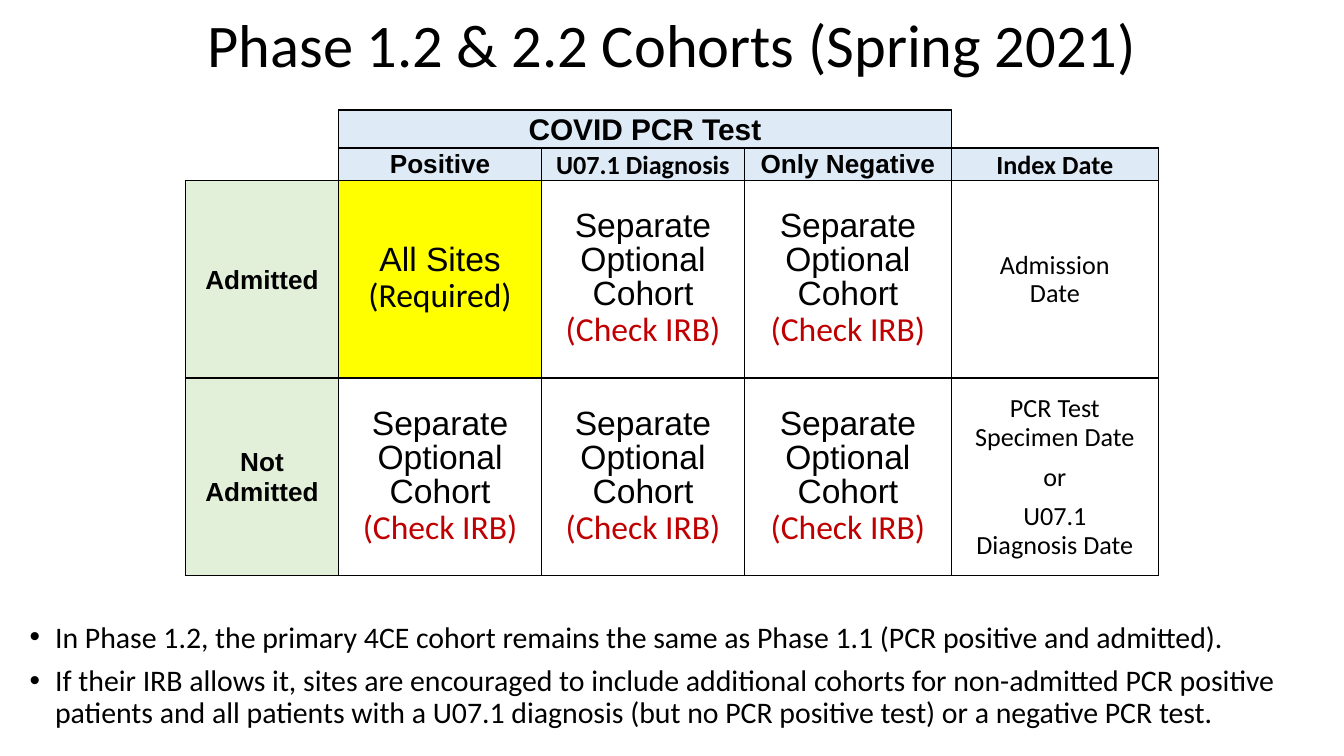
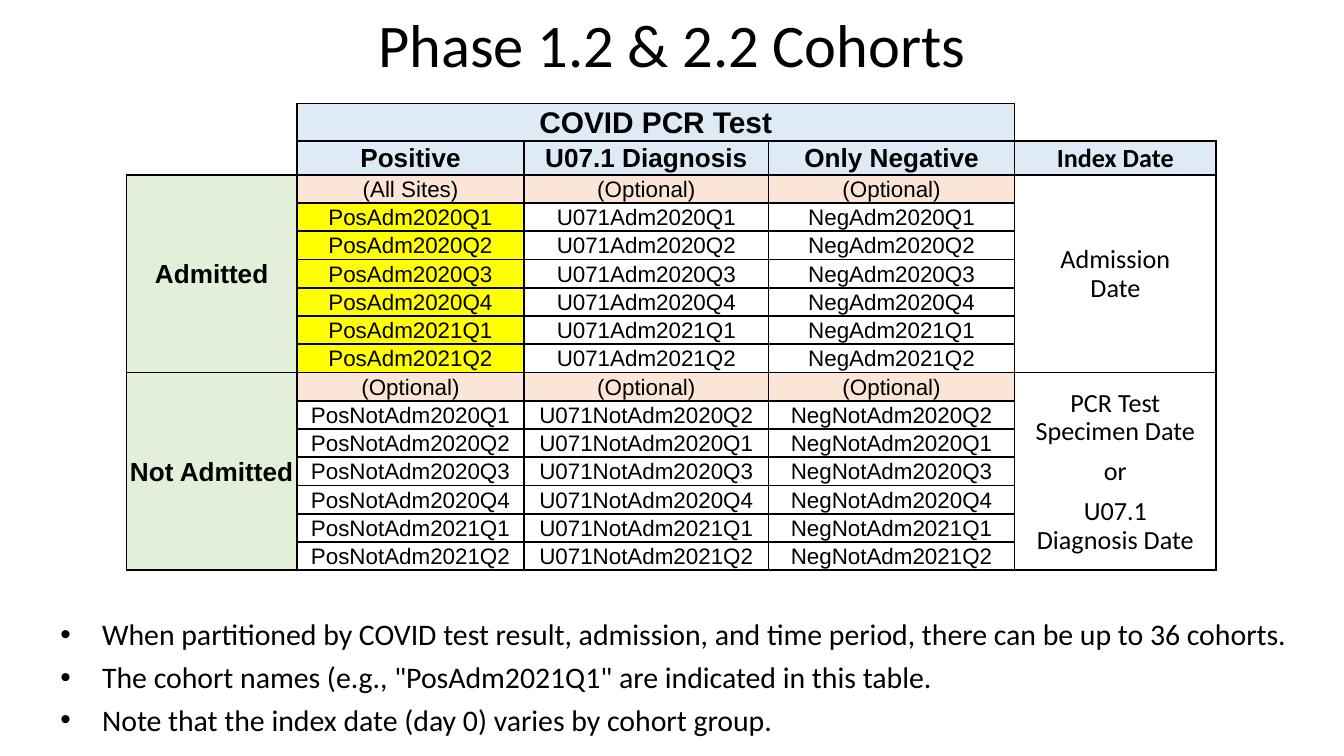
from dataclasses import dataclass, field

from lxml import etree
from pptx import Presentation
from pptx.dml.color import RGBColor
from pptx.enum.text import MSO_ANCHOR, MSO_AUTO_SIZE, PP_ALIGN
from pptx.oxml.ns import qn
from pptx.util import Inches, Pt

CENTER = PP_ALIGN.CENTER
LEFT = PP_ALIGN.LEFT
MIDDLE = MSO_ANCHOR.MIDDLE
TOP = MSO_ANCHOR.TOP
NO_FIT = MSO_AUTO_SIZE.NONE
GROW = MSO_AUTO_SIZE.SHAPE_TO_FIT_TEXT


@dataclass(frozen=True)
class Theme:
    ink: str = "000000"
    white: str = "FFFFFF"
    header: str = "DEEBF7"
    side: str = "E2F0D9"
    required: str = "FFFF00"
    group: str = "FBE5D6"
    warning: str = "C00000"
    sans: str = "Calibri"
    grid: str = "Arial"
    title_size: float = 32.4
    body_size: float = 16
    banner_size: float = 16
    heading_size: float = 14
    status_size: float = 18
    cohort_size: float = 12
    empty_size: float = 8
    border: float = 1


THEME = Theme()


@dataclass
class Line:
    text: str
    size: float
    font: str = THEME.grid
    bold: bool = False
    color: str = THEME.ink
    layout: dict = field(default_factory=dict)


def assign(target, values):
    for name, value in values.items():
        setattr(target, name, value)


def write_line(paragraph, line):
    assign(paragraph, {"alignment": CENTER, **line.layout})
    run = paragraph.add_run()
    run.text = line.text
    assign(run.font, {"size": Pt(line.size), "name": line.font, "bold": line.bold})
    run.font.color.rgb = RGBColor.from_string(line.color)


def write_lines(text_frame, lines):
    for index, line in enumerate(lines):
        paragraph = text_frame.add_paragraph() if index else text_frame.paragraphs[0]
        write_line(paragraph, line)


def place(shape, left, top, width, height):
    assign(shape, {
        "left": Inches(left), "top": Inches(top),
        "width": Inches(width), "height": Inches(height),
    })


def add_title(slide, text):
    title = slide.shapes.title
    place(title, 0.34, 0.04, 9.32, 0.66)
    assign(title.text_frame, {
        "auto_size": NO_FIT, "vertical_anchor": MIDDLE, "word_wrap": True,
        "margin_top": Inches(0.1), "margin_bottom": Inches(0.1),
    })
    write_lines(title.text_frame, [
        Line(text, THEME.title_size, THEME.sans, layout={"line_spacing": 0.8})
    ])


def add_bullet(paragraph, indent):
    properties = paragraph._p.get_or_add_pPr()
    properties.set("marL", str(Inches(indent)))
    properties.set("indent", str(-Inches(indent)))
    etree.SubElement(properties, qn("a:buFont"), typeface=THEME.grid)
    etree.SubElement(properties, qn("a:buChar"), char="•")


def add_bullets(slide, box, texts, indent, line_spacing, gap):
    body = slide.placeholders[1]
    place(body, *box)
    assign(body.text_frame, {"auto_size": GROW, "vertical_anchor": TOP, "word_wrap": True})
    write_lines(body.text_frame, [
        Line(text, THEME.body_size, THEME.sans, layout={
            "alignment": LEFT, "line_spacing": line_spacing,
            "space_before": Pt(gap if index else 0),
        })
        for index, text in enumerate(texts)
    ])
    for paragraph in body.text_frame.paragraphs:
        add_bullet(paragraph, indent)


def set_borders(cell, white_sides):
    properties = cell._tc.get_or_add_tcPr()
    for index, side in enumerate("LRTB"):
        line = etree.Element(qn(f"a:ln{side}"), w=str(Pt(THEME.border)))
        fill = etree.SubElement(line, qn("a:solidFill"))
        color = THEME.white if side in white_sides else THEME.ink
        etree.SubElement(fill, qn("a:srgbClr"), val=color)
        properties.insert(index, line)


def format_cell(cell, white_sides):
    assign(cell, {
        "vertical_anchor": MIDDLE, "margin_left": Inches(0.01),
        "margin_right": Inches(0.01), "margin_top": Inches(0.01), "margin_bottom": 0,
    })
    cell.fill.solid()
    cell.fill.fore_color.rgb = RGBColor.from_string(THEME.white)
    set_borders(cell, white_sides)
    etree.SubElement(cell.text_frame.paragraphs[0]._p, qn("a:endParaRPr"),
                     sz=str(int(THEME.empty_size * 100)))


def fill_cell(cell, lines, fill=THEME.white):
    cell.fill.fore_color.rgb = RGBColor.from_string(fill)
    write_lines(cell.text_frame, lines)


def add_grid(slide, left, top, widths, heights):
    frame = slide.shapes.add_table(
        len(heights), len(widths), Inches(left), Inches(top),
        Inches(sum(widths)), Inches(sum(heights)),
    )
    table = frame.table
    assign(table, {"first_row": False, "horz_banding": False})
    for column, width in zip(table.columns, widths):
        column.width = Inches(width)
    for row, height in zip(table.rows, heights):
        row.height = Inches(height)
    blank_corners = {(0, 0): "LTB", (1, 0): "LT", (0, 4): "TR"}
    for row in range(len(heights)):
        for column in range(len(widths)):
            format_cell(table.cell(row, column), blank_corners.get((row, column), ""))
    return table


def add_headings(table, diagnosis_font):
    table.cell(0, 1).merge(table.cell(0, 3))
    fill_cell(table.cell(0, 1), [Line("COVID PCR Test", THEME.banner_size, bold=True)],
              THEME.header)
    headings = [
        ("Positive", THEME.grid), ("U07.1 Diagnosis", diagnosis_font),
        ("Only Negative", THEME.grid), ("Index Date", THEME.sans),
    ]
    for column, (text, font) in enumerate(headings, start=1):
        fill_cell(table.cell(1, column), [Line(text, THEME.heading_size, font, True)],
                  THEME.header)


def add_group(table, first_row, row_count, name, date_texts):
    for column in (0, 4):
        if row_count > 1:
            table.cell(first_row, column).merge(
                table.cell(first_row + row_count - 1, column))
    fill_cell(table.cell(first_row, 0), [Line(name, THEME.heading_size, bold=True)],
              THEME.side)
    separator = {"space_before": Pt(6), "space_after": Pt(6)}
    fill_cell(table.cell(first_row, 4), [
        Line(text, THEME.heading_size, THEME.sans,
             layout={"line_spacing": 0.9, **(separator if text == "or" else {})})
        for text in date_texts
    ])


def add_groups(table, row_count):
    groups = {
        "Admitted": ["Admission", "Date"],
        "Not Admitted": ["PCR Test", "Specimen Date", "or", "U07.1", "Diagnosis Date"],
    }
    for index, (name, date_texts) in enumerate(groups.items()):
        add_group(table, 2 + index * row_count, row_count, name, date_texts)


def status_lines(texts, note, note_color):
    tight = {"line_spacing": 0.9}
    lines = [Line(text, THEME.status_size, layout=tight) for text in texts]
    return lines + [Line(note, THEME.status_size, THEME.sans, color=note_color, layout=tight)]


def add_statuses(table):
    for row in (2, 3):
        for column in (1, 2, 3):
            cell = table.cell(row, column)
            if (row, column) == (2, 1):
                fill_cell(cell, status_lines(["All Sites"], "(Required)", THEME.ink),
                          THEME.required)
            else:
                fill_cell(cell, status_lines(["Separate", "Optional", "Cohort"],
                                             "(Check IRB)", THEME.warning))


def add_cohort_names(table):
    quarters = ["2020Q1", "2020Q2", "2020Q3", "2020Q4", "2021Q1", "2021Q2"]
    swapped = ["2020Q2", "2020Q1", *quarters[2:]]
    for first_row, admission in ((2, "Adm"), (9, "NotAdm")):
        for column, result in enumerate(("Pos", "U071", "Neg"), start=1):
            required = (admission, result) == ("Adm", "Pos")
            label = "(All Sites)" if required else "(Optional)"
            fill_cell(table.cell(first_row, column), [Line(label, THEME.cohort_size)],
                      THEME.group)
            periods = swapped if admission == "NotAdm" and result != "Pos" else quarters
            for row, period in enumerate(periods, start=first_row + 1):
                fill_cell(table.cell(row, column),
                          [Line(f"{result}{admission}{period}", THEME.cohort_size)],
                          THEME.required if required else THEME.white)


def build_overview(slide):
    add_title(slide, "Phase 1.2 & 2.2 Cohorts (Spring 2021)")
    table = add_grid(slide, 1.38, 0.82, [1.14, 1.51, 1.51, 1.54, 1.54],
                     [0.28, 0.24, 1.47, 1.47])
    add_headings(table, THEME.sans)
    add_groups(table, 1)
    add_statuses(table)
    add_bullets(slide, (0.12, 4.58, 9.78, 0.91), [
        "In Phase 1.2, the primary 4CE cohort remains the same as Phase 1.1 "
        "(PCR positive and admitted).",
        "If their IRB allows it, sites are encouraged to include additional cohorts for "
        "non-admitted PCR positive patients and all patients with a U07.1 diagnosis "
        "(but no PCR positive test) or a negative PCR test.",
    ], indent=0.19, line_spacing=0.9, gap=6)


def build_cohort_names(slide):
    add_title(slide, "Phase 1.2 & 2.2 Cohorts")
    table = add_grid(slide, 0.94, 0.77, [1.27, 1.69, 1.82, 1.83, 1.5],
                     [0.28, 0.25] + [0.21] * 14)
    add_headings(table, THEME.grid)
    add_groups(table, 7)
    add_cohort_names(table)
    add_bullets(slide, (0.35, 4.48, 9.5, 1.07), [
        "When partitioned by COVID test result, admission, and time period, "
        "there can be up to 36 cohorts.",
        'The cohort names (e.g., "PosAdm2021Q1" are indicated in this table.',
        "Note that the index date (day 0) varies by cohort group.",
    ], indent=0.31, line_spacing=1.2, gap=0)


def main():
    presentation = Presentation()
    presentation.slide_width = Inches(10)
    presentation.slide_height = Inches(10 * 9 / 16)
    layout = presentation.slide_layouts[1]
    build_overview(presentation.slides.add_slide(layout))
    build_cohort_names(presentation.slides.add_slide(layout))
    presentation.save("out.pptx")


if __name__ == "__main__":
    main()
